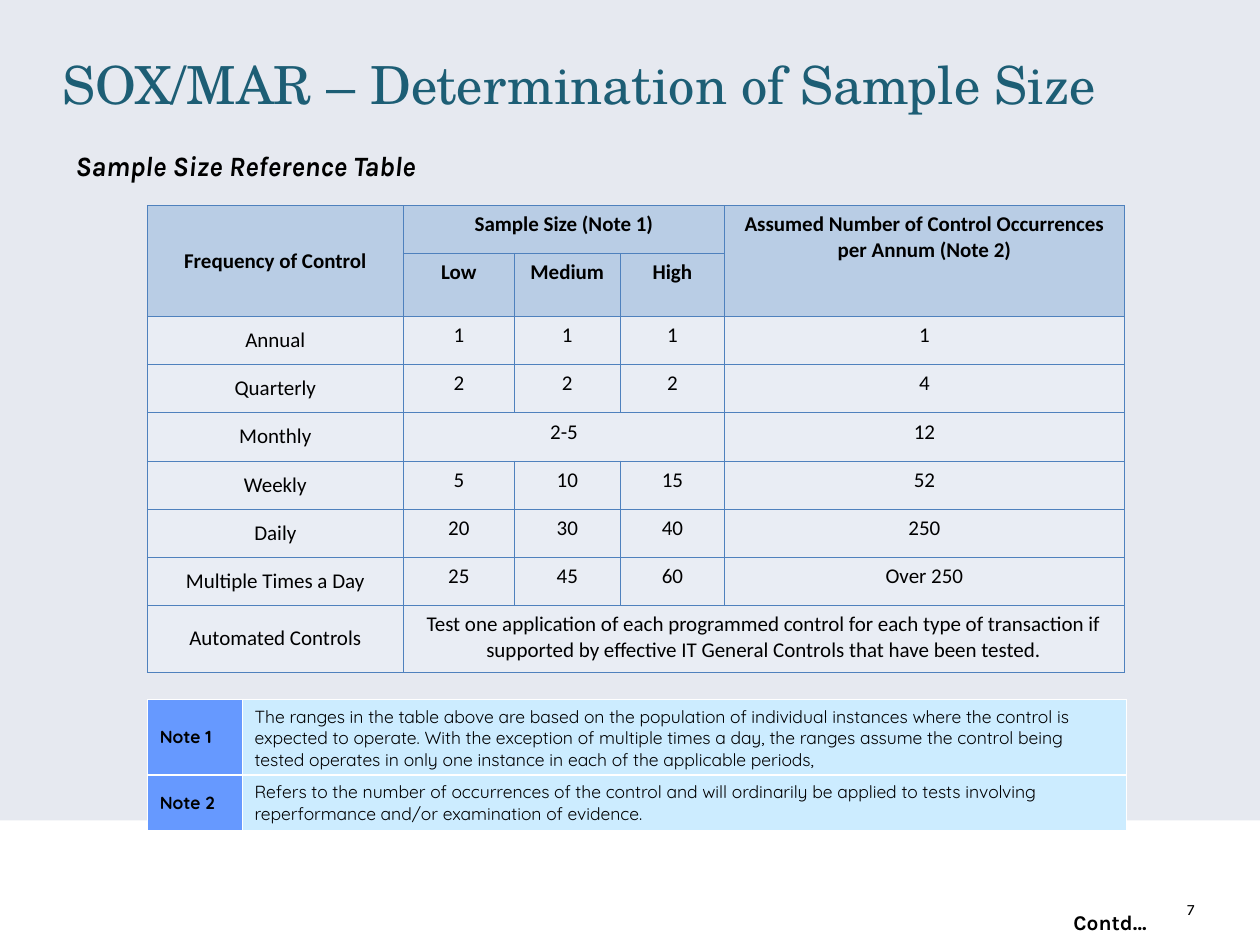
"""Build the slide on determining SOX/MAR sample sizes."""
import pptx
import pptx.dml.color
import pptx.enum.shapes
import pptx.enum.text
import pptx.oxml
import pptx.oxml.ns
import pptx.util

Cm, Pt = pptx.util.Cm, pptx.util.Pt
RGBColor = pptx.dml.color.RGBColor
ALIGN, ANCHOR = pptx.enum.text.PP_ALIGN, pptx.enum.text.MSO_ANCHOR

BLACK = RGBColor(0x00, 0x00, 0x00)
WHITE = RGBColor(0xFF, 0xFF, 0xFF)
BACKDROP = RGBColor(0xE6, 0xE9, 0xF0)
TEAL = RGBColor(0x1D, 0x5E, 0x75)
GRID = RGBColor(0x4F, 0x81, 0xBD)
HEADER = RGBColor(0xB9, 0xCD, 0xE5)
BODY = RGBColor(0xE9, 0xED, 0xF4)
NOTE_LABEL = RGBColor(0x66, 0x99, 0xFF)
NOTE_BODY = RGBColor(0xCC, 0xEC, 0xFF)


def write(tf, text, font, size, color=BLACK, bold=False, italic=False, align=ALIGN.LEFT):
    p = tf.paragraphs[0]
    p.text = text
    p.alignment = align
    p.font.name = font
    p.font.size = Pt(size)
    p.font.color.rgb = color
    p.font.bold = bold
    p.font.italic = italic


def style_cell(cell, fill, line, widths):
    tcPr = cell._tc.get_or_add_tcPr()
    for side, width in zip("LRTB", widths):
        tcPr.append(pptx.oxml.parse_xml(
            f'<a:ln{side} {pptx.oxml.ns.nsdecls("a")} w="{Pt(width)}"><a:solidFill>'
            f'<a:srgbClr val="{line}"/></a:solidFill></a:ln{side}>'))
    cell.fill.solid()
    cell.fill.fore_color.rgb = fill


prs = pptx.Presentation()
prs.slide_width, prs.slide_height = Cm(25.4), Cm(19.05)
s = prs.slides.add_slide(prs.slide_layouts[6])

sp = s.shapes.add_shape(pptx.enum.shapes.MSO_SHAPE.RECTANGLE, 0, 0, prs.slide_width, Cm(16.54))
sp.shadow.inherit = False
sp.fill.solid()
sp.fill.fore_color.rgb = BACKDROP
sp.line.fill.background()

texts = [
    ("7", (23.42, 18.11, 0.66, 0.43), 0, ANCHOR.MIDDLE,
     dict(font="Karla", size=9, align=ALIGN.RIGHT)),
    ("SOX/MAR – Determination of Sample Size", (1.27, 1.04, 22.81, 1.3), 0, ANCHOR.TOP,
     dict(font="TeX Gyre Schola", size=30, color=TEAL)),
    ("Sample Size Reference Table", (1.27, 2.87, 9.09, 0.94), 1, ANCHOR.TOP,
     dict(font="Karla", size=16, bold=True, italic=True)),
    ("Contd…", (21.39, 18.21, 2.54, 0.76), 1, ANCHOR.TOP,
     dict(font="Karla", size=12, bold=True)),
]
for text, box, inset, anchor, style in texts:
    tf = s.shapes.add_textbox(*map(Cm, box)).text_frame
    tf.word_wrap = True
    tf.vertical_anchor = anchor
    tf.margin_left = tf.margin_right = Cm(0.25 * inset)
    tf.margin_top = tf.margin_bottom = Cm(0.13 * inset)
    write(tf, text, **style)

rows = [
    ["Frequency of Control", "Sample Size (Note 1)", "", "",
     "Assumed Number of Control Occurrences per Annum (Note 2)"],
    ["", "Low", "Medium", "High", ""],
    ["Annual", "1", "1", "1", "1"],
    ["Quarterly", "2", "2", "2", "4"],
    ["Monthly", "2-5", "", "", "12"],
    ["Weekly", "5", "10", "15", "52"],
    ["Daily", "20", "30", "40", "250"],
    ["Multiple Times a Day", "25", "45", "60", "Over 250"],
    ["Automated Controls", "Test one application of each programmed control for each type of "
     "transaction if supported by effective IT General Controls that have been tested.",
     "", "", ""],
]
widths = [5.16, 2.24, 2.13, 2.11, 8.05]
heights = [0.97, 1.02] + [0.97] * 6 + [1.35]
sizes = s.shapes.add_table(len(rows), len(widths), Cm(2.97), Cm(4.14),
                           Cm(sum(widths)), Cm(sum(heights))).table
for col, width in zip(sizes.columns, widths):
    col.width = Cm(width)
for r, row in enumerate(rows):
    sizes.rows[r].height = Cm(heights[r])
    for c, text in enumerate(row):
        cell = sizes.cell(r, c)
        style_cell(cell, HEADER if r < 2 else BODY, GRID, [0.45] * 4)
        cell.margin_left = cell.margin_right = Cm(0.2)
        cell.vertical_anchor = ANCHOR.TOP if c else ANCHOR.MIDDLE
        write(cell.text_frame, text, "Calibri", 12, bold=r < 2, align=ALIGN.CENTER)
for top, left, bottom, right in [(0, 0, 1, 0), (0, 1, 0, 3), (0, 4, 1, 4),
                                 (4, 1, 4, 3), (8, 1, 8, 4)]:
    sizes.cell(top, left).merge(sizes.cell(bottom, right))

notes = [
    ("Note 1", "The ranges in the table above are based on the population of individual "
     "instances where the control is expected to operate. With the exception of multiple "
     "times a day, the ranges assume the control being tested operates in only one instance "
     "in each of the applicable periods,"),
    ("Note 2", "Refers to the number of occurrences of the control and will ordinarily be "
     "applied to tests involving reperformance and/or examination of evidence."),
]
note_table = s.shapes.add_table(2, 2, Cm(2.97), Cm(14.1), Cm(19.74), Cm(2.61)).table
note_table.columns[0].width, note_table.columns[1].width = Cm(1.91), Cm(17.83)
note_table.rows[0].height, note_table.rows[1].height = Cm(1.52), Cm(1.09)
for r, note in enumerate(notes):
    edges = [0.45, 0.45, 1.47, 0.45] if r else [0.45, 0.45, 0.45, 1.47]
    for c, text in enumerate(note):
        cell = note_table.cell(r, c)
        style_cell(cell, NOTE_BODY if c else NOTE_LABEL, WHITE, edges)
        cell.vertical_anchor = ANCHOR.MIDDLE
        write(cell.text_frame, text, "Quicksand", 10, bold=c == 0)

prs.save("out.pptx")
